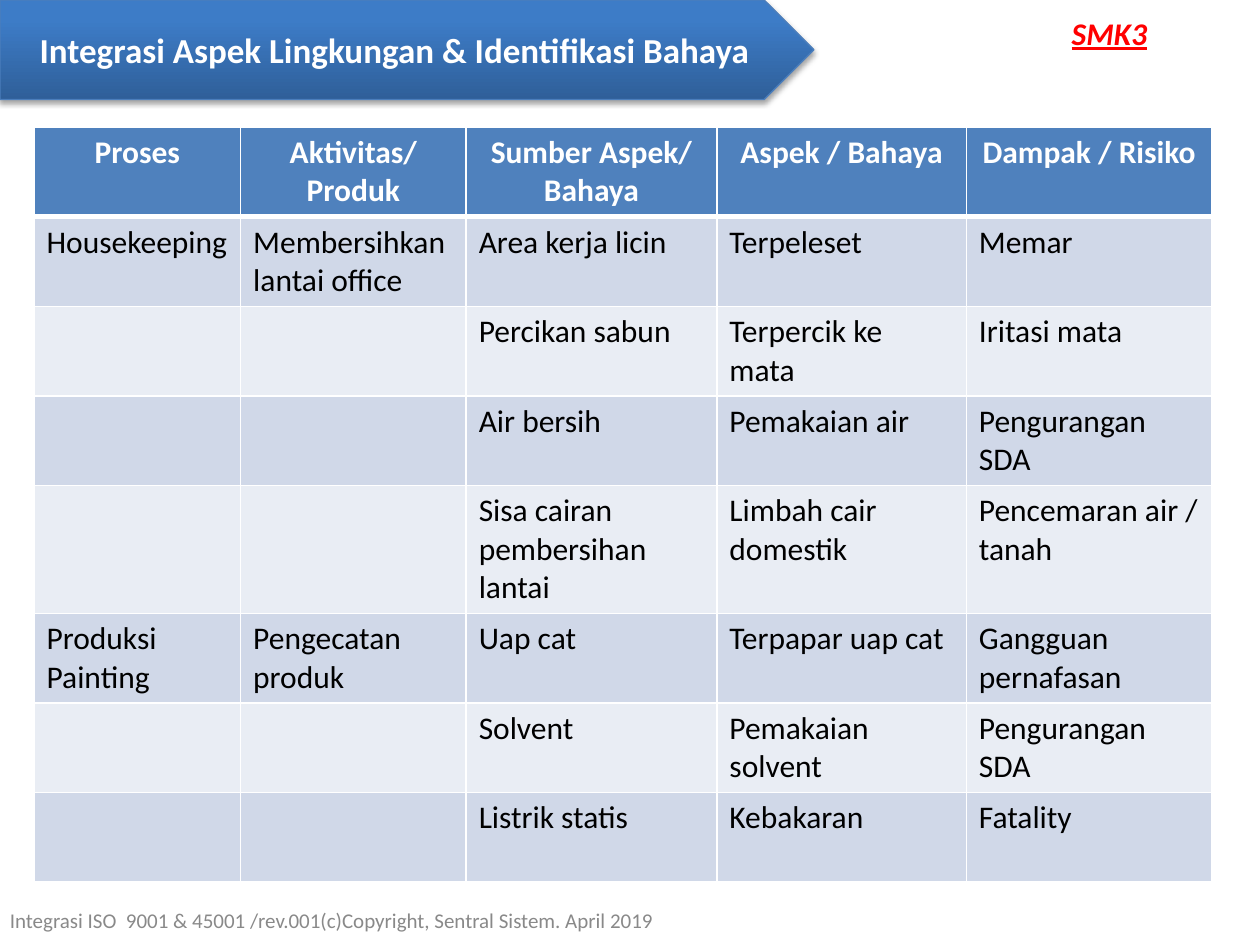
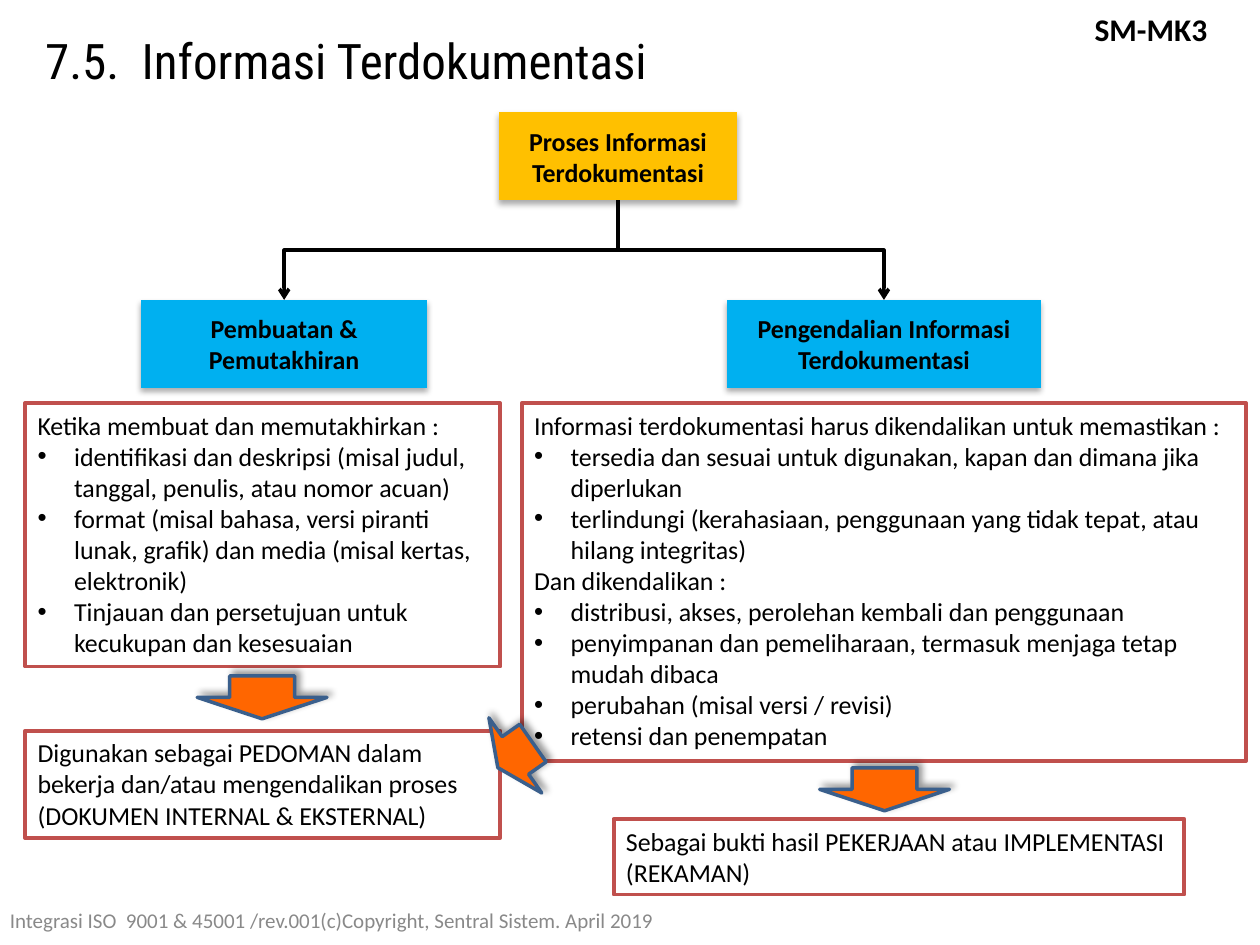
from dataclasses import dataclass
from typing import NamedTuple

from lxml import etree
from pptx import Presentation
from pptx.dml.color import RGBColor
from pptx.enum.shapes import MSO_CONNECTOR, MSO_SHAPE
from pptx.enum.text import MSO_ANCHOR, PP_ALIGN
from pptx.oxml.ns import qn
from pptx.util import Inches, Pt

ELBOW = MSO_CONNECTOR.ELBOW
RECT, PROCESS = MSO_SHAPE.RECTANGLE, MSO_SHAPE.FLOWCHART_PROCESS
PENTAGON, ARROW = MSO_SHAPE.PENTAGON, MSO_SHAPE.RIGHT_ARROW
LEFT, CENTER = PP_ALIGN.LEFT, PP_ALIGN.CENTER
TOP, MIDDLE = MSO_ANCHOR.TOP, MSO_ANCHOR.MIDDLE

# The slide is a grid of 100 columns by 75 rows.
COLS, ROWS = 100, 75
CELL = 0.1

BODY_FONT, TITLE_FONT = "Calibri", "Roboto Condensed"
BLACK, WHITE, RED, GREY = "000000", "FFFFFF", "FF0000", "898989"
HEADER_BLUE, BANDS = "4F81BD", ("D0D8E8", "E9EDF4")
BANNER_DARK, BANNER_LIGHT, BANNER_LINE = "2F5F99", "3D7CC7", "4B7EBC"
AMBER, SKY, FRAME_RED = "FFC000", "00B0F0", "C0504D"
ORANGE, ARROW_LINE = "FF6600", "3A5F8C"
DIAGRAM_SIZE = 14.8
BULLET = "•"
FOOTER = ("Integrasi ISO  9001 & 45001 /rev.001(c)Copyright, "
          "Sentral Sistem. April 2019")


class Box(NamedTuple):
    x: float
    y: float
    w: float
    h: float


class Shadow(NamedTuple):
    opacity: int
    blur: float
    distance: float
    angle: int


@dataclass
class ProcessBox:
    box: Box
    text: str
    fill: str


@dataclass
class Frame:
    box: Box
    lines: list[str]


@dataclass
class BlockArrow:
    box: Box
    rotation: float


BANNER_SHADOW = Shadow(35, 3.1, 1.8, 90)
PROCESS_SHADOW = Shadow(32, 3.5, 2.2, 90)
ARROW_SHADOW = Shadow(40, 4, 3, 315)

TABLE_BOX = Box(2.7, 10.1, 93.5, 56.8)
COLUMN_WIDTHS = (16.4, 17.9, 19.9, 19.8, 19.5)
TABLE_ROWS = [
    ("Proses", "Aktivitas/ Produk", "Sumber Aspek/ Bahaya",
     "Aspek / Bahaya", "Dampak / Risiko"),
    ("Housekeeping", "Membersihkan lantai office", "Area kerja licin",
     "Terpeleset", "Memar"),
    ("", "", "Percikan sabun", "Terpercik ke mata", "Iritasi mata"),
    ("", "", "Air bersih", "Pemakaian air", "Pengurangan SDA"),
    ("", "", "Sisa cairan pembersihan lantai", "Limbah cair domestik",
     "Pencemaran air / tanah"),
    ("Produksi Painting", "Pengecatan produk", "Uap cat",
     "Terpapar uap cat", "Gangguan pernafasan"),
    ("", "", "Solvent", "Pemakaian solvent", "Pengurangan SDA"),
    ("", "", "Listrik statis", "Kebakaran", "Fatality"),
]

ROOT = ProcessBox(Box(39.6, 8.9, 18.9, 7),
                  "Proses Informasi Terdokumentasi", AMBER)
BRANCHES = [
    ProcessBox(Box(11.2, 23.8, 22.7, 7), "Pembuatan & Pemutakhiran", SKY),
    ProcessBox(Box(57.7, 23.8, 24.9, 7),
               "Pengendalian Informasi Terdokumentasi", SKY),
]
FRAMES = [
    Frame(Box(2, 32, 37.7, 20.9), [
        "Ketika membuat dan memutakhirkan :",
        "•identifikasi dan deskripsi (misal judul, tanggal, penulis, "
        "atau nomor acuan)",
        "•format (misal bahasa, versi piranti lunak, grafik) dan media "
        "(misal kertas, elektronik)",
        "•Tinjauan dan persetujuan untuk kecukupan dan kesesuaian",
    ]),
    Frame(Box(2, 58, 37.7, 8.5), [
        "Digunakan sebagai PEDOMAN dalam bekerja dan/atau "
        "mengendalikan proses",
        "(DOKUMEN INTERNAL & EKSTERNAL)",
    ]),
    Frame(Box(41.4, 32, 57.5, 28.4), [
        "Informasi terdokumentasi harus dikendalikan untuk memastikan :",
        "•tersedia dan sesuai untuk digunakan, kapan dan dimana jika "
        "diperlukan",
        "•terlindungi (kerahasiaan, penggunaan yang tidak tepat, atau "
        "hilang integritas)",
        "Dan dikendalikan :",
        "•distribusi, akses, perolehan kembali dan penggunaan",
        "•penyimpanan dan pemeliharaan, termasuk menjaga tetap mudah dibaca",
        "•perubahan (misal versi / revisi)",
        "•retensi dan penempatan",
    ]),
    Frame(Box(48.7, 65, 45.3, 6), [
        "Sebagai bukti hasil PEKERJAAN atau IMPLEMENTASI (REKAMAN)",
    ]),
]
ARROWS = [
    BlockArrow(Box(19.1, 50.2, 3.4, 10.3), 90),
    BlockArrow(Box(68.5, 57.5, 3.4, 10.3), 90),
    BlockArrow(Box(39.2, 56.3, 3.4, 7.3), 144.9),
]


def rgb(value: str) -> RGBColor:
    return RGBColor.from_string(value)


def grid(n: float) -> int:
    return Inches(n * CELL)


def place(box: Box) -> tuple[int, ...]:
    return tuple(grid(n) for n in box)


def sub(parent, tag: str, **attributes):
    return etree.SubElement(parent, qn(tag),
                            {k: str(v) for k, v in attributes.items()})


def set_bullet(p) -> None:
    pPr = p._p.get_or_add_pPr()
    indent = Inches(0.29)
    pPr.set("marL", str(indent))
    pPr.set("indent", str(-indent))
    sub(pPr, "a:buFont", typeface="Arial")
    sub(pPr, "a:buChar", char=BULLET)


def write(tf, *lines: str, size: float = 18, font: str = BODY_FONT,
          color: str = BLACK, bold: bool = False, italic: bool = False,
          underline: bool = False, align=LEFT, anchor=TOP) -> None:
    """Fill a text frame; a line that starts with a bullet becomes a list item."""
    tf.word_wrap = True
    tf.vertical_anchor = anchor
    for i, line in enumerate(lines):
        p = tf.paragraphs[0] if i == 0 else tf.add_paragraph()
        p.alignment = align
        if line.startswith(BULLET):
            set_bullet(p)
        r = p.add_run()
        r.text = line.removeprefix(BULLET)
        f = r.font
        f.name, f.size, f.color.rgb = font, Pt(size), rgb(color)
        f.bold, f.italic, f.underline = bold, italic, underline


def add_text(s, box: Box, text: str, **fmt) -> None:
    write(s.shapes.add_textbox(*place(box)).text_frame, text, **fmt)


def add_shape(s, kind, box: Box, fill: str = "", line: str = "",
              line_width: float = 2, shadow: Shadow | None = None):
    sp = s.shapes.add_shape(kind, *place(box))
    if fill:
        sp.fill.solid()
        sp.fill.fore_color.rgb = rgb(fill)
    else:
        sp.fill.background()
    if line:
        sp.line.color.rgb = rgb(line)
        sp.line.width = Pt(line_width)
    else:
        sp.line.fill.background()
    sp.shadow.inherit = False
    if shadow:
        effects = sp._element.spPr.find(qn("a:effectLst"))
        outer = sub(effects, "a:outerShdw", blurRad=Pt(shadow.blur),
                    dist=Pt(shadow.distance), dir=shadow.angle * 60000,
                    rotWithShape=0)
        sub(sub(outer, "a:srgbClr", val=BLACK), "a:alpha",
            val=shadow.opacity * 1000)
    return sp


def add_process(s, item: ProcessBox) -> None:
    sp = add_shape(s, PROCESS, item.box, item.fill, shadow=PROCESS_SHADOW)
    write(sp.text_frame, item.text, size=DIAGRAM_SIZE, bold=True,
          align=CENTER, anchor=MIDDLE)


def add_branch_line(s, start: Box, end: Box) -> None:
    """Elbow from the bottom centre of one box to the top centre of another."""
    x1, y1 = start.x + start.w / 2, start.y + start.h
    x2, y2 = end.x + end.w / 2, end.y
    drop, reach = y2 - y1, abs(x2 - x1)
    # The elbow leaves sideways, so it is laid out flat and then turned.
    left, top = (x1 + x2 - drop) / 2, (y1 + y2 - reach) / 2
    ends, turn = (left, left + drop), 90
    if x2 > x1:
        ends, turn = ends[::-1], 270
    line = s.shapes.add_connector(ELBOW, grid(ends[0]), grid(top),
                                  grid(ends[1]), grid(top + reach))
    line.line.color.rgb = rgb(BLACK)
    line.line.width = Pt(2)
    spPr = line._element.spPr
    spPr.find(qn("a:xfrm")).set("rot", str(turn * 60000))
    sub(spPr.find(qn("a:ln")), "a:tailEnd", type="arrow")
    sub(spPr, "a:effectLst")


def set_borders(cell, top: float, bottom: float) -> None:
    tcPr = cell._tc.get_or_add_tcPr()
    widths = {"a:lnL": 1, "a:lnR": 1, "a:lnT": top, "a:lnB": bottom}
    for tag, width in widths.items():
        ln = sub(tcPr, tag, w=Pt(width))
        sub(sub(ln, "a:solidFill"), "a:srgbClr", val=WHITE)


def add_risk_table(s) -> None:
    table = s.shapes.add_table(len(TABLE_ROWS), len(COLUMN_WIDTHS),
                               *place(TABLE_BOX)).table
    for column, width in zip(table.columns, COLUMN_WIDTHS):
        column.width = grid(width)
    for i, texts in enumerate(TABLE_ROWS):
        header = i == 0
        for j, text in enumerate(texts):
            cell = table.cell(i, j)
            set_borders(cell, 3 if i == 1 else 1, 3 if header else 1)
            cell.fill.solid()
            cell.fill.fore_color.rgb = rgb(
                HEADER_BLUE if header else BANDS[(i - 1) % 2])
            if text:
                write(cell.text_frame, text, bold=header,
                      color=WHITE if header else BLACK,
                      align=CENTER if header else LEFT)


def add_banner(s, text: str) -> None:
    sp = add_shape(s, PENTAGON, Box(0, 0, 64.6, 7.9), BANNER_DARK,
                   BANNER_LINE, 0.75, BANNER_SHADOW)
    sp.fill.gradient()
    sp.fill.gradient_angle = 90
    stops = ((0, BANNER_DARK), (0.8, BANNER_LIGHT))
    for stop, (position, color) in zip(sp.fill.gradient_stops, stops):
        stop.position, stop.color.rgb = position, rgb(color)
    write(sp.text_frame, text, size=20, color=WHITE, bold=True,
          align=CENTER, anchor=MIDDLE)


def add_footer(s) -> None:
    add_text(s, Box(-0.2, 71, 53.6, 4), FOOTER, size=12, color=GREY,
             anchor=MIDDLE)


def build_risk_slide(s) -> None:
    add_risk_table(s)
    add_banner(s, "Integrasi Aspek Lingkungan & Identifikasi Bahaya")
    add_text(s, Box(83.6, 0.6, 8.9, 4.9), "SMK3", color=RED, bold=True,
             italic=True, underline=True, align=CENTER)
    add_footer(s)


def build_document_slide(s) -> None:
    for item in (ROOT, *BRANCHES):
        add_process(s, item)
    for branch in BRANCHES:
        add_branch_line(s, ROOT.box, branch.box)
    for frame in FRAMES:
        sp = add_shape(s, RECT, frame.box, line=FRAME_RED, line_width=2.25)
        write(sp.text_frame, *frame.lines, size=DIAGRAM_SIZE)
    for arrow in ARROWS:
        sp = add_shape(s, ARROW, arrow.box, ORANGE, ARROW_LINE,
                       shadow=ARROW_SHADOW)
        sp.rotation = arrow.rotation
    add_text(s, Box(2.6, 1.9, 79.1, 5.7), "7.5.  Informasi Terdokumentasi",
             size=28, font=TITLE_FONT)
    add_text(s, Box(83.2, 0.3, 16.3, 4.9), "SM-MK3", bold=True, align=CENTER)
    add_footer(s)


def main() -> None:
    prs = Presentation()
    prs.slide_width, prs.slide_height = grid(COLS), grid(ROWS)
    blank = prs.slide_layouts[6]
    for build in (build_risk_slide, build_document_slide):
        build(prs.slides.add_slide(blank))
    prs.save("out.pptx")


if __name__ == "__main__":
    main()
